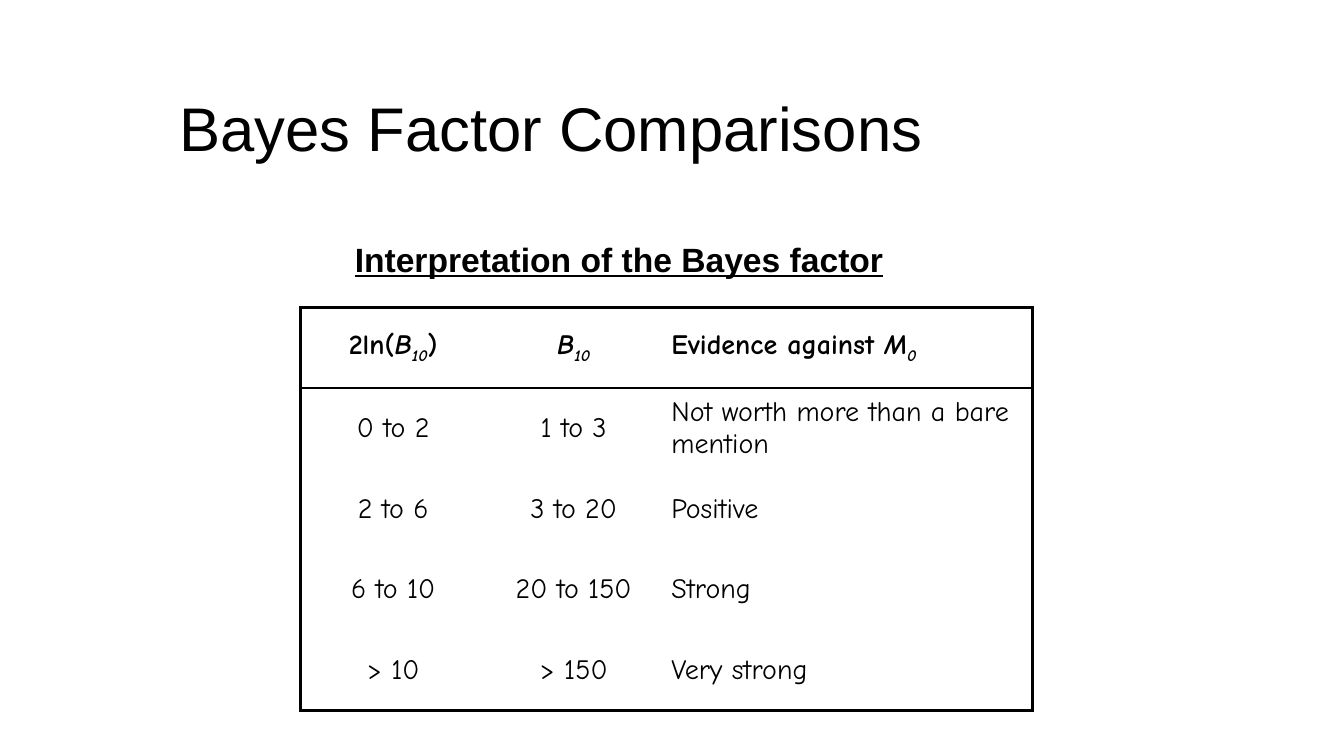
from pptx import Presentation
from pptx.dml.color import RGBColor
from pptx.enum.text import MSO_ANCHOR, PP_ALIGN
from pptx.oxml.ns import qn
from pptx.util import Inches, Pt
from lxml.etree import SubElement

COLORS = {"ink": "000000"}
ROWS = [
    # Header runs: text, italic, subscript
    [[("2ln(", False, False), ("B", True, False), ("10", True, True), (")", False, False)],
     [("B", True, False), ("10", True, True)],
     [("Evidence against ", False, False), ("M", True, False), ("0", True, True)]],
    ["0 to 2", "1 to 3", "Not worth more than a bare mention"],
    ["2 to 6", "3 to 20", "Positive"],
    ["6 to 10", "20 to 150", "Strong"],
    ["> 10", "> 150", "Very strong"],
]
WIDTHS = [1.84, 1.74, 3.68]
HEIGHT = 0.8


def style(font, name, size, bold=False):
    font.name, font.size, font.bold = name, Pt(size), bold
    font.color.rgb = RGBColor.from_string(COLORS["ink"])


def border(cell, side, width):
    """Draw one side (L, R, T or B) of a cell; a width of 0 hides it."""
    line = SubElement(cell._tc.get_or_add_tcPr(), qn(f"a:ln{side}"), w=str(Pt(width)))
    if width:
        fill = SubElement(line, qn("a:solidFill"))
        SubElement(fill, qn("a:srgbClr"), val=COLORS["ink"])
    else:
        SubElement(line, qn("a:noFill"))


deck = Presentation()
deck.slide_width, deck.slide_height = Inches(13.33), Inches(7.5)
slide = deck.slides.add_slide(deck.slide_layouts[5])

title = slide.shapes.title
title.left, title.top = Inches(1.68), Inches(0.68)
title.width, title.height = Inches(11.36), Inches(1.25)
title.text_frame.text = "Bayes Factor Comparisons"
title.text_frame.vertical_anchor = MSO_ANCHOR.MIDDLE
para = title.text_frame.paragraphs[0]
para.alignment = PP_ALIGN.LEFT
para.line_spacing = 0.9
style(para.font, "Arial", 44)

frame = slide.shapes.add_table(
    len(ROWS), len(WIDTHS), Inches(2.98), Inches(3.05),
    Inches(sum(WIDTHS)), Inches(HEIGHT * len(ROWS)))
table = frame.table
table.first_row = table.horz_banding = False
for column, width in zip(table.columns, WIDTHS):
    column.width = Inches(width)

last_row, last_col = len(ROWS) - 1, len(WIDTHS) - 1
for r, row in enumerate(ROWS):
    table.rows[r].height = Inches(HEIGHT)
    for c, content in enumerate(row):
        cell = table.cell(r, c)
        cell.vertical_anchor = MSO_ANCHOR.MIDDLE
        border(cell, "L", 2.25 if c == 0 else 0)
        border(cell, "R", 2.25 if c == last_col else 0)
        border(cell, "T", {0: 2.25, 1: 1}.get(r, 0))
        border(cell, "B", {0: 1, last_row: 2.25}.get(r, 0))
        cell.fill.background()
        para = cell.text_frame.paragraphs[0]
        para.alignment = PP_ALIGN.LEFT if c == last_col else PP_ALIGN.CENTER
        style(para.font, "Comic Neue", 20, bold=r == 0)
        if r > 0:
            para.add_run().text = content
            continue
        for text, italic, sub in content:
            run = para.add_run()
            run.text = text
            run.font.italic = italic
            if sub:
                run._r.get_or_add_rPr().set("baseline", "-25000")

label = slide.shapes.add_textbox(Inches(3.42), Inches(2.32), Inches(5.49), Inches(0.5))
label.text_frame.word_wrap = False
para = label.text_frame.paragraphs[0]
para.text = "Interpretation of the Bayes factor"
style(para.font, "Arial", 24, bold=True)
para.font.underline = True

deck.save("out.pptx")
